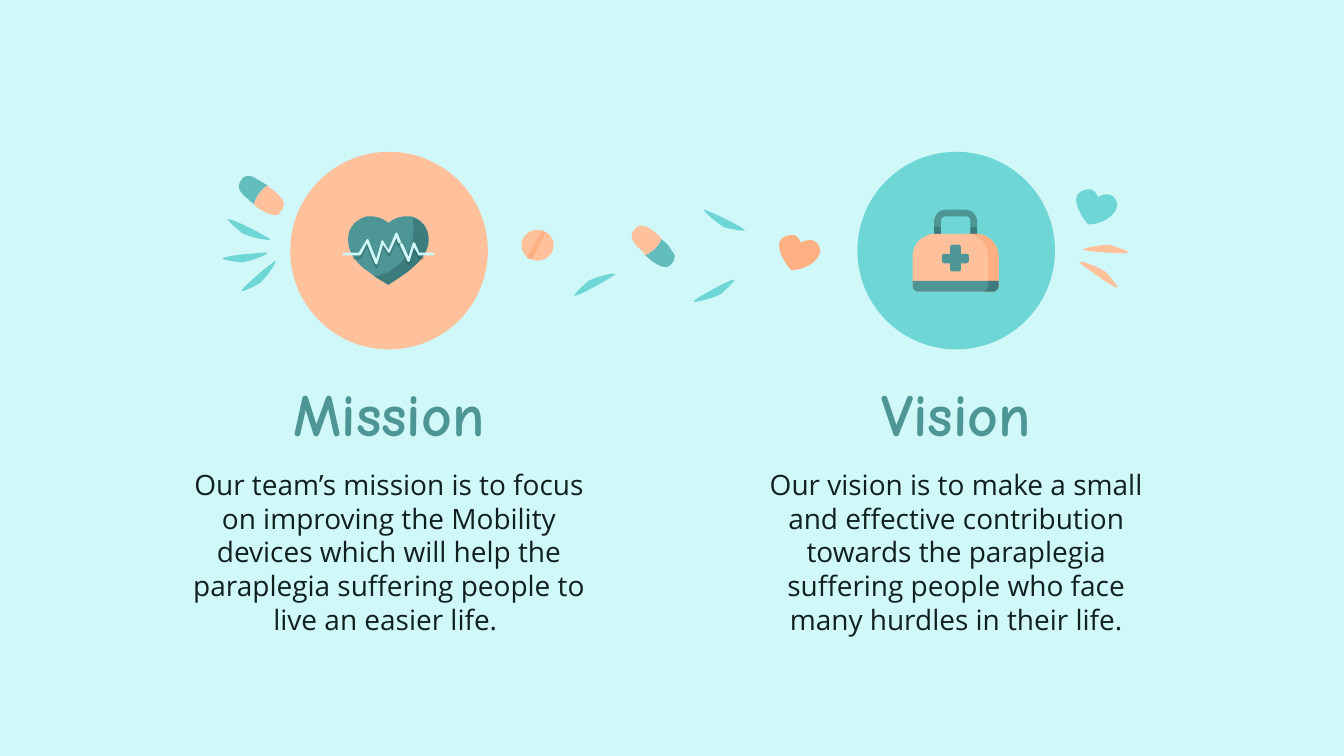
from math import hypot

from lxml import etree
from pptx import Presentation
from pptx.dml.color import RGBColor
from pptx.enum.shapes import MSO_SHAPE
from pptx.enum.text import MSO_ANCHOR, MSO_AUTO_SIZE, PP_ALIGN
from pptx.oxml.ns import qn
from pptx.util import Inches, Pt

OVAL = MSO_SHAPE.OVAL
CENTER = PP_ALIGN.CENTER
TOP, BOTTOM = MSO_ANCHOR.TOP, MSO_ANCHOR.BOTTOM
FIXED = MSO_AUTO_SIZE.NONE

PALE = RGBColor(0xD1, 0xF8, 0xF8)
PEACH = RGBColor(0xFF, 0xC0, 0x9C)
CORAL = RGBColor(0xFF, 0xB0, 0x82)
AQUA = RGBColor(0x6F, 0xD6, 0xD6)
TEAL = RGBColor(0x62, 0xBD, 0xBD)
PINE = RGBColor(0x4E, 0x96, 0x96)
SHADE = RGBColor(0x23, 0x58, 0x58)
INK = RGBColor(0x10, 0x1F, 0x1F)

# heading, body, column left, body height, disc colour
COLUMNS = [
    ("Mission",
     "Our team’s mission is to focus on improving the Mobility devices which "
     "will help the paraplegia suffering people to live an easier life. ",
     1.25, 1.77, PEACH),
    ("Vision",
     "Our vision is to make a small and effective contribution towards the "
     "paraplegia suffering people who face many hurdles in their life.",
     5.47, 1.35, AQUA),
]
COL_W, DISC, DISC_TOP = 3.29, 1.47, 1.13
HEAD = {"name": "Comic Neue", "size": Pt(32), "bold": True}
BODY = {"name": "Open Sans", "size": Pt(15), "bold": False}

# pointed end, blunt end, side of the bulge, colour
LEAVES = [
    ((5.46, 2.08), (5.16, 2.24), 1, AQUA),
    ((5.54, 1.71), (5.24, 1.56), 1, AQUA),
    ((4.28, 2.2), (4.58, 2.04), 1, AQUA),
    ((1.8, 2.16), (2.05, 1.94), -1, AQUA),
    ((1.66, 1.92), (1.99, 1.88), -1, AQUA),
    ((1.7, 1.63), (2.01, 1.78), -1, AQUA),
    ((8.39, 1.88), (8.06, 1.86), -1, PEACH),
    ((8.31, 2.14), (8.03, 1.95), -1, PEACH),
]
# leaf outline: share of the length along it, then across it
LEAF = [(0, 0), (0.1, -0.05), (0.92, -0.02), (1, 0), (1.05, 0.04), (0.58, 0.15),
        (0.41, 0.15), (0.27, 0.12), (-0.09, 0.02), (0, 0)]

STRIPE = "M 4.03 1.72 L 3.92 1.92 L 3.96 1.93 L 4.06 1.73"
PILLS = [
    ("M 5.02 1.91 C 5.02 1.95 4.98 1.98 4.98 1.98 C 4.93 2.01 4.86 1.95 4.8 1.9 "
     "C 4.84 1.88 4.9 1.84 4.92 1.78 C 4.95 1.8 4.98 1.83 5 1.87 "
     "C 5.01 1.88 5.02 1.89 5.02 1.91", TEAL),
    ("M 4.92 1.78 C 4.9 1.84 4.84 1.88 4.8 1.9 L 4.79 1.88 C 4.72 1.82 4.7 1.78 "
     "4.7 1.76 C 4.7 1.74 4.71 1.72 4.72 1.71 C 4.77 1.64 4.84 1.7 4.91 1.76", PEACH),
    ("M 1.84 1.31 C 1.8 1.31 1.78 1.37 1.78 1.37 C 1.76 1.42 1.83 1.47 1.89 1.52 "
     "C 1.9 1.48 1.93 1.42 1.99 1.38 C 1.96 1.36 1.92 1.34 1.89 1.32 "
     "C 1.87 1.31 1.85 1.31 1.84 1.31", TEAL),
    ("M 1.99 1.38 C 1.93 1.42 1.9 1.48 1.89 1.52 L 1.91 1.54 C 1.98 1.59 2.02 1.6 "
     "2.05 1.6 C 2.07 1.6 2.08 1.59 2.09 1.57 C 2.15 1.51 2.08 1.45 2 1.39", PEACH),
]
HEART = ("M 6.05 1.79 C 6.02 1.78 5.98 1.79 5.96 1.81 C 5.95 1.78 5.93 1.76 5.91 1.75 "
         "C 5.85 1.74 5.78 1.78 5.8 1.85 C 5.81 1.91 5.87 2 5.89 2.01 "
         "C 5.97 2.01 6.08 1.96 6.1 1.88 C 6.11 1.84 6.08 1.8 6.05 1.79")
HEARTS = [(0, 0, CORAL), (2.21, -0.34, AQUA)]

# path, colour, opacity in percent
RIGHT = " L 7.39 2.17 C 7.41 2.17 7.43 2.15 7.43 2.13 "
CURL = " L 7.35 2.13 C 7.35 2.15 7.34 2.17 7.32 2.17" + RIGHT
DOME = "L 7.43 1.91 C 7.43 1.81 7.35 1.74 7.26 1.74"
FOOT = " L 6.79 2.13 C 6.79 2.15 6.81 2.17 6.83 2.17" + RIGHT
BAG = [
    ("M 7.04 1.56 C 6.99 1.56 6.95 1.6 6.95 1.65 L 6.95 1.74 L 7 1.74 L 7 1.65 "
     "C 7 1.62 7.02 1.61 7.04 1.61 L 7.18 1.61 C 7.21 1.61 7.22 1.62 7.22 1.65 "
     "L 7.22 1.74 L 7.27 1.74 L 7.27 1.65 C 7.27 1.6 7.23 1.56 7.18 1.56", PINE, 100),
    ("M 6.95 1.69 L 6.95 1.74 L 7 1.74 L 7 1.69", SHADE, 41),
    ("M 7.22 1.69 L 7.22 1.74 L 7.27 1.74 L 7.27 1.69", SHADE, 41),
    ("M 6.96 1.74 C 6.87 1.74 6.79 1.81 6.79 1.91" + FOOT + DOME, PEACH, 100),
    ("M 7.18 1.74 C 7.28 1.74 7.36 1.81 7.35 1.91" + CURL + DOME, CORAL, 100),
    ("M 6.79 2.09" + FOOT + "L 7.43 2.09", PINE, 100),
    ("M 7.35 2.09" + CURL + "L 7.43 2.09", SHADE, 41),
    ("M 7.09 1.82 C 7.08 1.82 7.07 1.83 7.07 1.84 L 7.07 1.89 L 7.03 1.89 "
     "C 7.02 1.89 7.01 1.89 7.01 1.91 L 7.01 1.94 C 7.01 1.95 7.02 1.96 7.03 1.96 "
     "L 7.07 1.96 L 7.07 2 C 7.07 2.02 7.08 2.02 7.09 2.02 L 7.13 2.02 "
     "C 7.14 2.02 7.15 2.02 7.15 2 L 7.15 1.96 L 7.19 1.96 "
     "C 7.2 1.96 7.21 1.95 7.21 1.94 L 7.21 1.91 C 7.21 1.89 7.2 1.89 7.19 1.89 "
     "L 7.15 1.89 L 7.15 1.84 C 7.15 1.83 7.14 1.82 7.13 1.82", PINE, 100),
]
TIP = (" L 2.89 2.12 L 2.98 2.06 C 3.01 2.04 3.04 2.02 3.06 2 "
       "C 3.12 1.95 3.19 1.88 3.19 1.78 ")
PULSE = [
    ("M 3.02 1.61 C 2.97 1.61 2.92 1.63 2.89 1.66 C 2.86 1.63 2.81 1.61 2.76 1.61 "
     "C 2.74 1.61 2.72 1.61 2.7 1.62 C 2.63 1.65 2.59 1.71 2.59 1.78 "
     "C 2.59 1.88 2.65 1.95 2.71 2 C 2.74 2.02 2.77 2.04 2.79 2.06" + TIP
     + "C 3.19 1.7 3.14 1.63 3.06 1.61 C 3.04 1.61 3.03 1.61 3.02 1.61", PINE, 100),
    ("M 3.07 1.62 C 3.09 1.72 3.1 1.98 2.79 2.06" + TIP
     + "C 3.19 1.71 3.14 1.64 3.07 1.62", SHADE, 41),
]
# the two beat lines, with {0} for the outer end
BEATS = [
    "M 3.08 1.8 L 3.07 1.81 L 3.04 1.91 L 3 1.82 C 2.99 1.8 2.97 1.81 2.98 1.83 "
    "L 3.03 1.94 L 3.04 1.95 L 3.05 1.94 L 3.08 1.84 L 3.11 1.89 L 3.11 1.9 "
    "L {0} 1.9 L {0} 1.88 L 3.12 1.88 L 3.09 1.81",
    "M 2.95 1.73 L 2.94 1.74 L 2.89 1.86 L 2.85 1.79 L 2.84 1.79 L 2.8 1.93 "
    "L 2.74 1.78 L 2.73 1.78 L 2.67 1.88 L {0} 1.88 L {0} 1.9 L 2.68 1.9 L 2.69 1.89 "
    "L 2.73 1.81 L 2.79 1.96 L 2.8 1.97 L 2.81 1.96 L 2.85 1.82 L 2.89 1.88 "
    "L 2.9 1.88 L 2.95 1.77 L 2.96 1.8 C 2.97 1.82 2.99 1.81 2.98 1.79 L 2.96 1.74",
]
# outer ends, drop, colour, opacity
TRACES = [((3.15, 2.63), 0.03, SHADE, 41), ((3.23, 2.55), 0, PALE, 100)]


def paint(shape, color, alpha=100):
    shape.shadow.inherit = False
    shape.fill.solid()
    shape.fill.fore_color.rgb = color
    shape.line.fill.background()
    if alpha < 100:
        tone = next(shape.element.iter(qn("a:srgbClr")))
        etree.SubElement(tone, qn("a:alpha")).set("val", str(alpha * 1000))


def bend(a, b, c, d, steps=8):
    """Points along a cubic curve, without its first one."""
    for i in range(1, steps + 1):
        t = i / steps
        s = 1 - t
        yield tuple(s**3 * p + 3 * s * s * t * q + 3 * s * t * t * r + t**3 * e
                    for p, q, r, e in zip(a, b, c, d))


def trace(path):
    """Points of a path of M, L and C steps."""
    words, dots, i = path.split(), [], 0
    while i < len(words):
        count = 3 if words[i] == "C" else 1
        nums = [float(w) for w in words[i + 1:i + 1 + 2 * count]]
        pairs = list(zip(nums[::2], nums[1::2]))
        dots += bend(dots[-1], *pairs) if count == 3 else pairs
        i += 1 + 2 * count
    return dots


def outline(host, dots, color, alpha=100, dx=0, dy=0):
    dots = [((x + dx) * 1000, (y + dy) * 1000) for x, y in dots]
    pen = host.build_freeform(*dots[0], scale=914.4)
    pen.add_line_segments(dots[1:], close=True)
    paint(pen.convert_to_shape(), color, alpha)


def disc(host, x, y, w, h, color):
    paint(host.add_shape(OVAL, Inches(x), Inches(y), Inches(w), Inches(h)), color)


def leaf(host, a, b, side, color):
    dx, dy = b[0] - a[0], b[1] - a[1]
    size = hypot(dx, dy)
    u, v = dx / size, dy / size
    pts = [(a[0] + size * (s * u + side * n * v), a[1] + size * (s * v - side * n * u))
           for s, n in LEAF]
    dots = pts[:1]
    for i in range(0, 9, 3):
        dots += bend(*pts[i:i + 4])
    outline(host, dots, color)


def write(box, text, place, anchor, font, color):
    box.left, box.top, box.width, box.height = (Inches(n) for n in place)
    frame = box.text_frame
    looks = {"word_wrap": True, "auto_size": FIXED, "vertical_anchor": anchor}
    looks |= {"margin_" + s: Inches(0.1) for s in ("left", "top", "right", "bottom")}
    for key, value in looks.items():
        setattr(frame, key, value)
    para = frame.paragraphs[0]
    para.alignment = CENTER
    run = para.add_run()
    run.text = text
    for key, value in font.items():
        setattr(run.font, key, value)
    run.font.color.rgb = color
    return para


deck = Presentation()
deck.slide_width = Inches(10)
deck.slide_height = deck.slide_width * 9 // 16
slide = deck.slides.add_slide(deck.slide_layouts[5])
slide.background.fill.solid()
slide.background.fill.fore_color.rgb = PALE
shapes = slide.shapes

decor = shapes.add_group_shape().shapes
disc(decor, 3.88, 1.71, 0.24, 0.23, PEACH)
outline(decor, trace(STRIPE), CORAL)
for path, color in PILLS:
    outline(decor, trace(path), color)
for dx, dy, color in HEARTS:
    outline(decor, trace(HEART), color, dx=dx, dy=dy)
for item in LEAVES:
    leaf(decor, *item)

for i, (head, body, left, tall, color) in enumerate(COLUMNS):
    disc(shapes, left + (COL_W - DISC) / 2, DISC_TOP, DISC, DISC, color)
    title = shapes.add_textbox(0, 0, 0, 0) if i else shapes.title
    write(title, head, (left, 2.75, COL_W, 0.69), BOTTOM, HEAD, PINE)
    note = shapes.add_textbox(0, 0, 0, 0)
    para = write(note, body, (left, 3.38, COL_W, tall), TOP, BODY, INK)
    para.line_spacing = Pt(18)

for icon in (BAG, PULSE):
    host = shapes.add_group_shape().shapes
    for path, color, alpha in icon:
        outline(host, trace(path), color, alpha)
for ends, drop, color, alpha in TRACES:
    for beat, end in zip(BEATS, ends):
        outline(host, trace(beat.format(end)), color, alpha, dy=drop)

deck.save("out.pptx")
